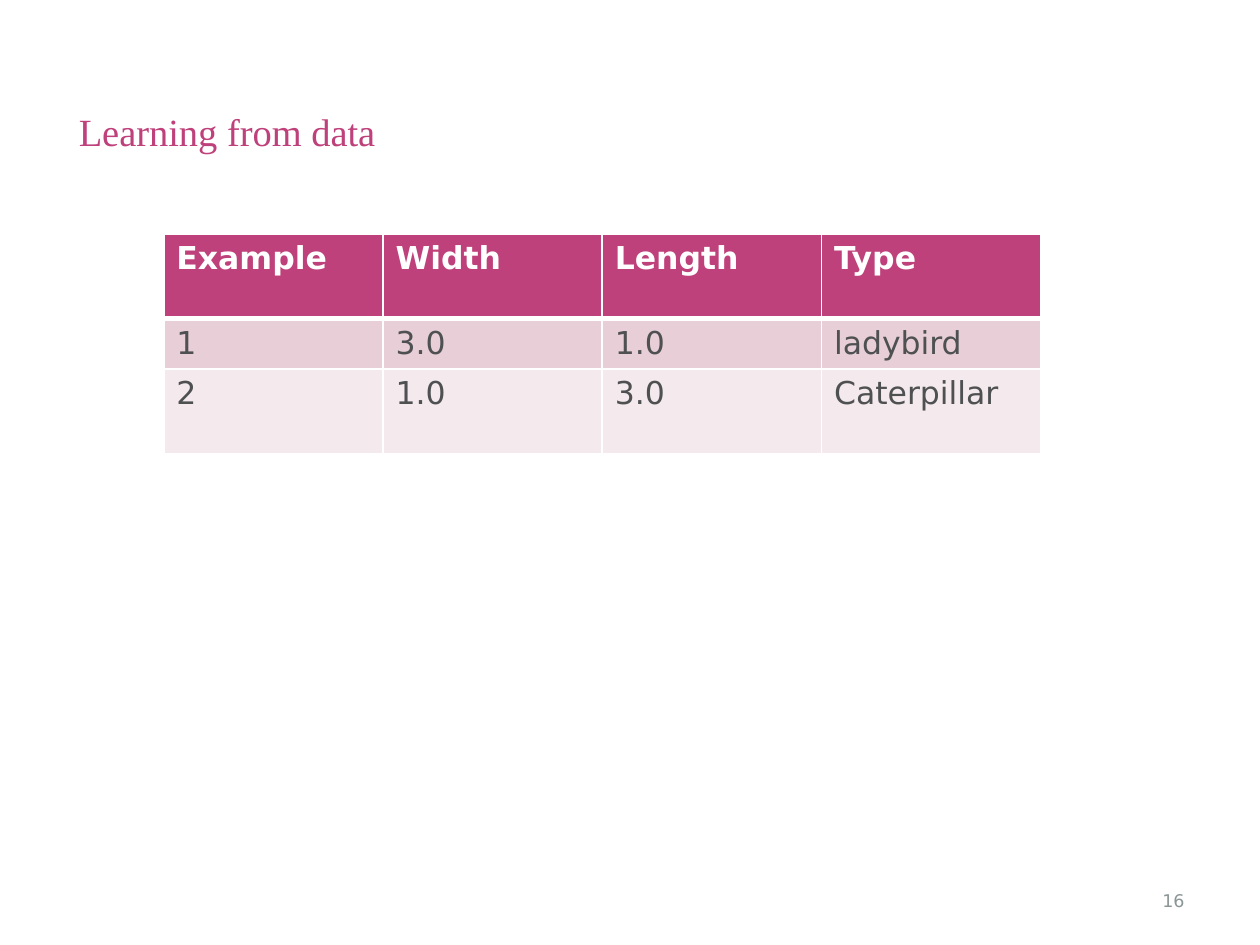
from dataclasses import dataclass

from lxml import etree
from pptx import Presentation
from pptx.dml.color import RGBColor
from pptx.enum.text import MSO_ANCHOR, MSO_AUTO_SIZE, PP_ALIGN
from pptx.oxml.ns import qn
from pptx.util import Inches, Pt

LEFT, RIGHT = PP_ALIGN.LEFT, PP_ALIGN.RIGHT
TOP, MIDDLE = MSO_ANCHOR.TOP, MSO_ANCHOR.MIDDLE
FIXED = MSO_AUTO_SIZE.NONE
WIDE, HIGH = 10, 7.5
SANS, SERIF = "DejaVu Sans", "Times New Roman"
PINK, WHITE, GREY, DARK = "BF417B", "FFFFFF", "8B9596", "4E5052"
COL = 1.74


@dataclass
class Row:
    """One table row: its words, height and look."""
    words: tuple[str, ...]
    high: float
    fill: str
    ink: str = DARK
    bold: bool = False
    top: float = 1
    base: float = 1


ROWS = [
    Row(("Example", "Width", "Length", "Type"), 0.67, PINK, WHITE, True, base=3),
    Row(("1", "3.0", "1.0", "ladybird"), 0.39, "E8CFD7", top=3),
    Row(("2", "1.0", "3.0", "Caterpillar"), 0.67, "F4E9EC"),
]


def tint(code: str) -> RGBColor:
    """Turn a hex string into a colour."""
    return RGBColor.from_string(code)


def place(shape, x: float, y: float, w: float, h: float) -> None:
    """Set the place and size of a shape in inches."""
    shape.left, shape.top = Inches(x), Inches(y)
    shape.width, shape.height = Inches(w), Inches(h)


def write(frame, text: str, face: str, size: float, ink: str,
          bold: bool = False, align=LEFT) -> None:
    """Put one styled paragraph in a text frame."""
    frame.text = text
    para = frame.paragraphs[0]
    para.alignment = align
    font = para.font
    font.name, font.size, font.bold = face, Pt(size), bold
    font.color.rgb = tint(ink)


def edge(cell, side: str, width: float, spot: int) -> None:
    """Add a white border to one side of a cell."""
    line = etree.Element(qn(f"a:ln{side}"), w=str(Pt(width)))
    fill = etree.SubElement(line, qn("a:solidFill"))
    etree.SubElement(fill, qn("a:srgbClr"), val=WHITE)
    cell._tc.get_or_add_tcPr().insert(spot, line)


def grid(slide, x: float, y: float, rows: list[Row]) -> None:
    """Draw the table of examples."""
    count = len(rows[0].words)
    high = sum(row.high for row in rows)
    table = slide.shapes.add_table(
        len(rows), count, Inches(x), Inches(y),
        Inches(COL * count), Inches(high)).table
    for col in table.columns:
        col.width = Inches(COL)
    for line, row in zip(table.rows, rows):
        line.height = Inches(row.high)
        sides = {"L": 1, "R": 1, "T": row.top, "B": row.base}
        for cell, word in zip(line.cells, row.words):
            write(cell.text_frame, word, SANS, 18, row.ink, row.bold)
            cell.fill.solid()
            cell.fill.fore_color.rgb = tint(row.fill)
            for spot, (side, width) in enumerate(sides.items()):
                edge(cell, side, width, spot)


def head(slide, text: str) -> None:
    """Move and style the title."""
    title = slide.shapes.title
    place(title, WIDE / 16, 0.86, WIDE * 7 / 8, 0.39)
    frame = title.text_frame
    frame.margin_left = frame.margin_right = 0
    frame.margin_top = frame.margin_bottom = 0
    frame.vertical_anchor, frame.auto_size = TOP, FIXED
    write(frame, text, SERIF, 22, PINK)


def foot(slide, text: str) -> None:
    """Write the slide number at the lower right."""
    box = slide.shapes.add_textbox(0, 0, 0, 0)
    place(box, 7.17, 6.95, 2.33, 0.4)
    frame = box.text_frame
    frame.word_wrap, frame.vertical_anchor = True, MIDDLE
    write(frame, text, SANS, 10, GREY, align=RIGHT)


def main() -> None:
    """Build and save the slide."""
    deck = Presentation()
    deck.slide_width, deck.slide_height = Inches(WIDE), Inches(HIGH)
    slide = deck.slides.add_slide(deck.slide_layouts[5])
    foot(slide, "16")
    head(slide, "Learning from data")
    grid(slide, 1.3, 1.86, ROWS)
    deck.save("out.pptx")


if __name__ == "__main__":
    main()
